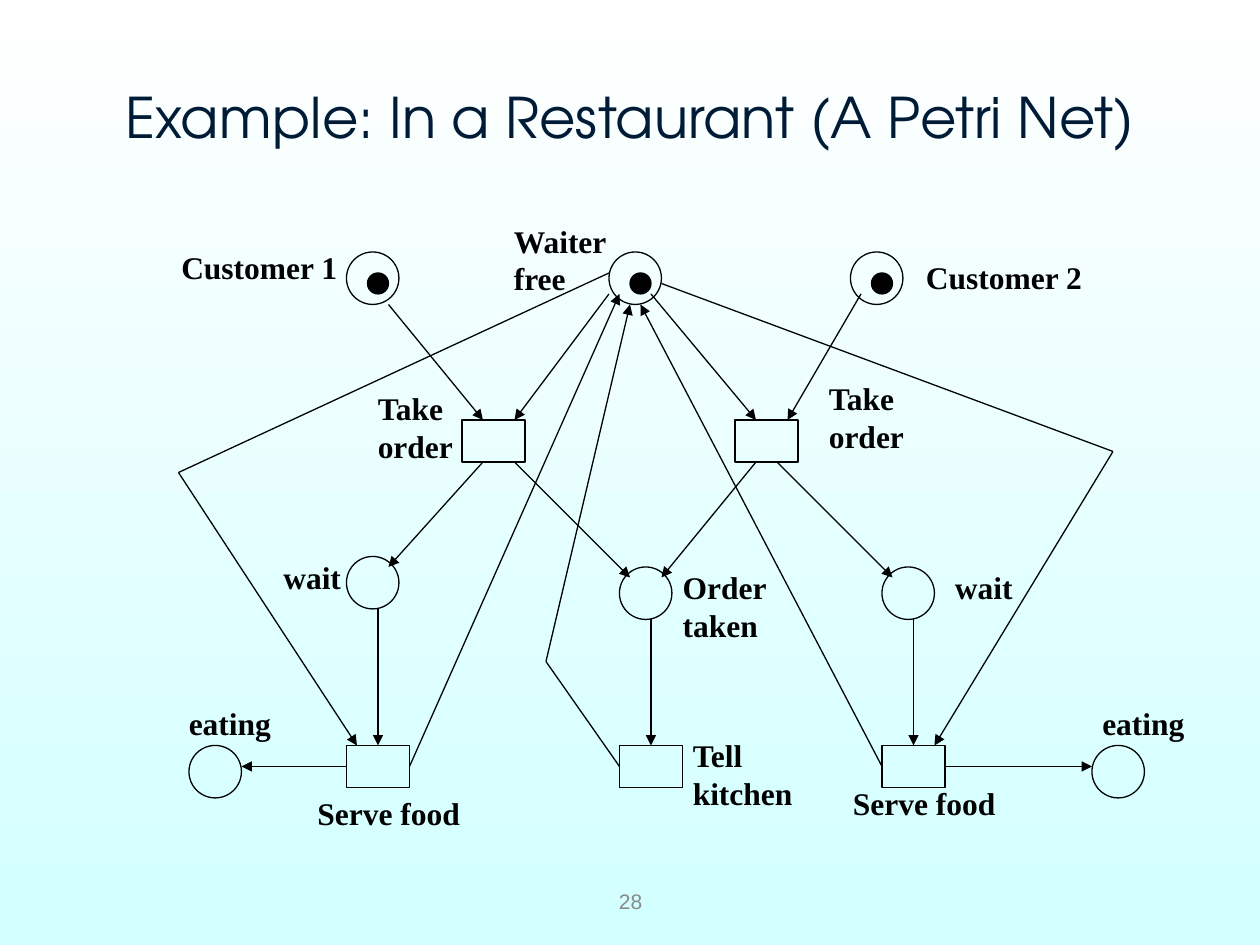
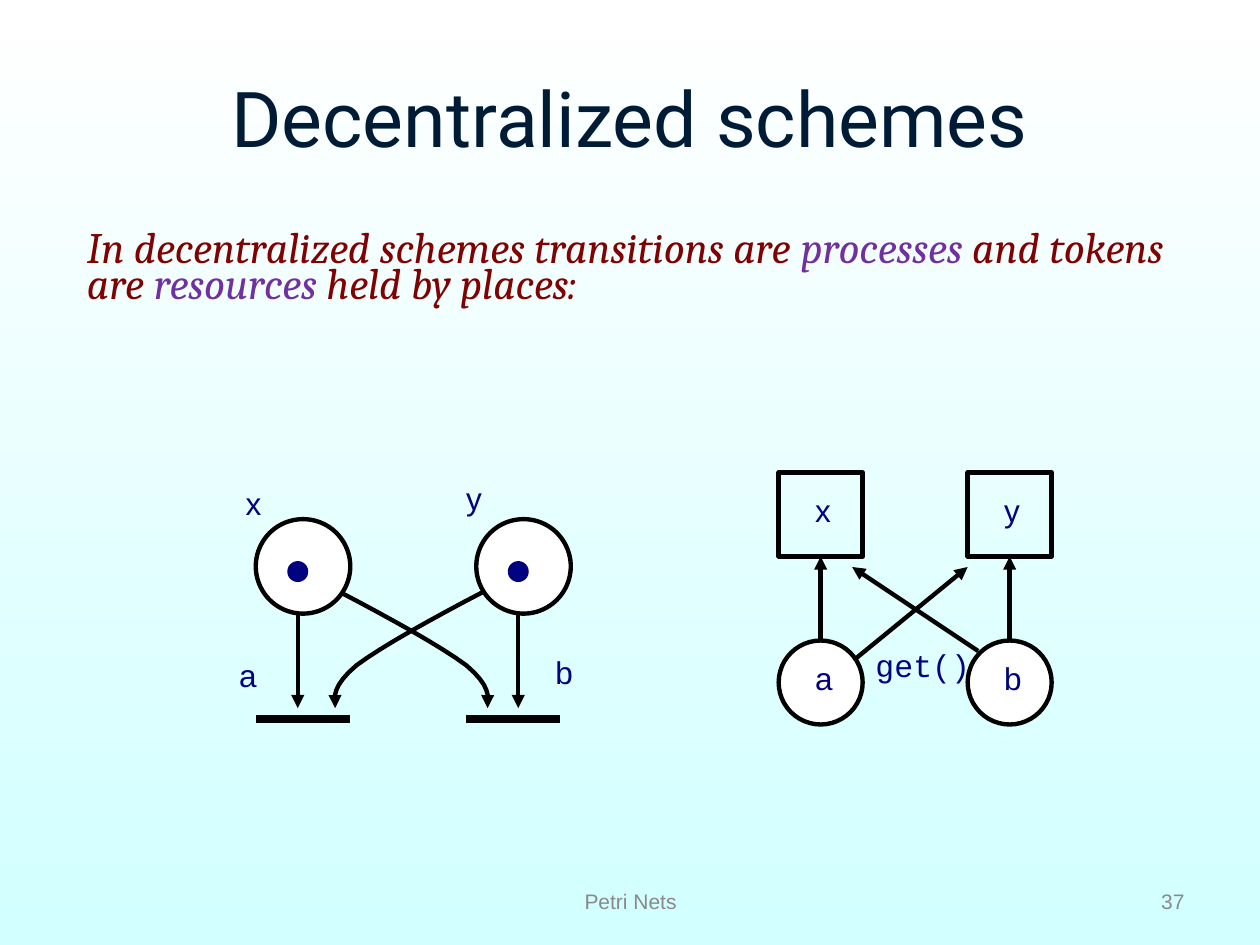
from pptx import Presentation, util as u
from pptx.dml.color import RGBColor
from pptx.enum import shapes, text
from pptx.oxml.ns import qn
from lxml import etree

HUES = {"ink": "000000", "white": "FFFFFF", "aqua": "D2FFFF", "title": "001B36",
        "grey": "898989", "navy": "00027F", "red": "7F0101", "violet": "7030A0"}
STYLES = {
    "net": ({"name": "Times New Roman", "size": u.Pt(18), "bold": True}, "ink"),
    "tag": ({"name": "Arial", "size": u.Pt(18)}, "navy"),
    "code": ({"name": "Courier New", "size": u.Pt(18)}, "navy"),
    "foot": ({"name": "Arial", "size": u.Pt(12)}, "grey"),
    "wide": ({"name": "TeX Gyre Adventor", "size": u.Pt(32)}, "title"),
    "plain": ({"name": "Roboto", "size": u.Pt(44)}, "title"),
    "body": ({"name": "Cambria", "size": u.Pt(24.8), "italic": True}, "red"),
    "key": ({"name": "Cambria", "size": u.Pt(24.8), "italic": True}, "violet"),
}
UNIT = 1 / 12
SLACK = 0.15
OVAL, RECT = shapes.MSO_SHAPE.OVAL, shapes.MSO_SHAPE.RECTANGLE
LEFT, MID, RIGHT = text.PP_ALIGN.LEFT, text.PP_ALIGN.CENTER, text.PP_ALIGN.RIGHT

MARKED = [(33, 24), (58, 24), (81, 24)]
PLACES = MARKED + [(33, 53), (59, 54), (84, 54), (104, 71), (18, 71)]
STEPS = [(44, 40), (70, 40), (84, 71), (59, 71), (33, 71)]
FLOWS = [
    [(37, 29), (46, 40)], [(58, 28), (49, 40)],
    [(62, 28), (72, 40)], [(82, 28), (75, 40)],
    [(46, 44), (37, 54)], [(49, 44), (60, 55)],
    [(72, 44), (63, 55)], [(74, 44), (85, 55)],
    [(87, 59), (87, 71)], [(62, 59), (62, 71)], [(36, 58), (36, 71)],
    [(90, 73), (104, 73)], [(33, 73), (23, 73)],
    [(39, 73), (59, 28)], [(84, 73), (61, 29)],
    [(59, 73), (52, 63), (60, 29)],
    [(63, 27), (106, 43), (89, 71)],
    [(58, 26), (17, 45), (34, 71)],
]
NAMES = [
    ("Waiter\nfree", 3.98, 1.71, 0.95), ("Customer 1", 1.34, 1.92, 1.44),
    ("Customer 2", 7.25, 2, 1.44), ("Take\norder", 2.9, 3.04, 0.79),
    ("Take\norder", 6.48, 2.96, 0.79), ("Order\ntaken", 5.32, 4.46, 0.86),
    ("Tell\nkitchen", 5.4, 5.79, 0.99), ("wait", 2.15, 4.38, 0.66),
    ("wait", 7.48, 4.46, 0.66), ("Serve food", 2.42, 6.25, 1.33),
    ("Serve food", 6.67, 6.17, 1.33), ("eating", 1.4, 5.54, 0.85),
    ("eating", 8.65, 5.54, 0.85),
]

LEAD = [("In decentralized schemes transitions are ", "body"), ("processes", "key"),
        (" and tokens are ", "body"), ("resources", "key"),
        (" held by places:", "body")]
NET, CALLS = (2.03, 4.12), (6.18, 3.75)
BARS = [[(0, 19), (9, 19)], [(20, 19), (29, 19)]]
DROPS = [[(4, 9), (4, 18)], [(25, 9), (25, 18)]]
GETS = [[(7, 18), (18, 9)], [(4, 16), (4, 8)],
        [(22, 16), (22, 8)], [(19, 17), (7, 9)]]
BENDS = [[(2.7, 4.7), (3.1, 4.91), (3.5, 5.13), (3.7, 5.28)],
         [(3.7, 5.28), (3.89, 5.44), (3.88, 5.53), (3.87, 5.62)]]
MIRROR = 6.53
TAGS = [("x", 1.85, 3.79, "tag"), ("y", 3.6, 3.75, "tag"),
        ("a", 1.8, 5.16, "tag"), ("b", 4.31, 5.13, "tag"),
        ("x", 6.37, 3.85, "tag"), ("y", 7.87, 3.85, "tag"),
        ("a", 6.37, 5.18, "tag"), ("b", 7.87, 5.18, "tag"),
        ("get()", 6.85, 5.08, "code")]


def hue(name):
    return RGBColor.from_string(HUES[name])


def style(run, name):
    form, tone = STYLES[name]
    for key, val in form.items():
        setattr(run.font, key, val)
    run.font.color.rgb = hue(tone)


def write(par, words, name, align=LEFT):
    par.alignment = align
    run = par.add_run()
    run.text = words
    style(run, name)


def label(slide, words, x, y, w, name, h=0.4, align=LEFT):
    box = slide.shapes.add_textbox(*map(u.Inches, (x, y, w, h)))
    frame = box.text_frame
    frame.word_wrap = True
    for i, line in enumerate(words.split("\n")):
        par = frame.add_paragraph() if i else frame.paragraphs[0]
        write(par, line, name, align)
    return frame


def place(at, spot):
    return [u.Inches(o + n * UNIT) for o, n in zip(at, spot)]


def node(slide, kind, spot, size, fill=None, line=0.75, at=(0, 0)):
    w, h = (u.Inches(n * UNIT) for n in size)
    shape = slide.shapes.add_shape(kind, *place(at, spot), w, h)
    shape.shadow.inherit = False
    if fill:
        shape.fill.solid()
        shape.fill.fore_color.rgb = hue(fill)
    else:
        shape.fill.background()
    if line:
        shape.line.color.rgb = hue("ink")
        shape.line.width = u.Pt(line)
    else:
        shape.line.fill.background()


def stroke(shape, width, head):
    shape.line.color.rgb = hue("ink")
    shape.line.width = u.Pt(width)
    if head:
        etree.SubElement(shape.line._get_or_add_ln(), qn("a:tailEnd"), type="triangle")


def trail(slide, spots, width=0.75, head=True, at=(0, 0)):
    pairs = list(zip(spots, spots[1:]))
    for i, (a, b) in enumerate(pairs, 1):
        line = slide.shapes.add_connector(
            shapes.MSO_CONNECTOR.STRAIGHT, *place(at, a), *place(at, b))
        stroke(line, width, head and i == len(pairs))
        etree.SubElement(line._element.spPr, qn("a:effectLst"))


def curve(slide, bends, steps=8):
    dots = [bends[0][0]]
    for bend in bends:
        for i in range(1, steps + 1):
            t = i / steps
            mix = ((1 - t) ** 3, 3 * t * (1 - t) ** 2, 3 * t * t * (1 - t), t ** 3)
            dots.append(tuple(sum(m * p[k] for m, p in zip(mix, bend)) for k in (0, 1)))
    dots = [tuple(map(u.Inches, dot)) for dot in dots]
    pen = slide.shapes.build_freeform(*dots[0])
    pen.add_line_segments(dots[1:], close=False)
    shape = pen.convert_to_shape()
    shape.shadow.inherit = False
    shape.fill.background()
    stroke(shape, 2.5, True)


def move(shape, *box):
    for key, val in zip(("left", "top", "width", "height"), box):
        setattr(shape, key, u.Inches(val))


def start(deck, layout, title, name, feet):
    slide = deck.slides.add_slide(deck.slide_layouts[layout])
    move(slide.shapes.title, 0.5, 0.3, 9, 1.25)
    write(slide.shapes.title.text_frame.paragraphs[0], title, name, MID)
    for words, x, w, align in feet:
        frame = label(slide, words, x, 6.95, w, "foot", align=align)
        frame.vertical_anchor = text.MSO_ANCHOR.MIDDLE
    return slide


def diner(deck):
    slide = start(deck, 5, "Example: In a Restaurant (A Petri Net)", "wide",
                  [("28", 3.42, 3.17, MID)])
    for spot in PLACES:
        node(slide, OVAL, spot, (5, 5))
    for spot in STEPS:
        node(slide, RECT, spot, (6, 4))
    for spots in FLOWS:
        trail(slide, spots)
    for words, x, y, w in NAMES:
        label(slide, words, x, y, w + SLACK, "net", 0.7 if "\n" in words else 0.4)
    for x, y in MARKED:
        node(slide, OVAL, (x + 2, y + 2), (2, 2), "ink")


def schemes(deck):
    slide = start(deck, 1, "Decentralized schemes", "plain",
                  [("Petri Nets", 3.42, 3.17, MID), ("37", 7.17, 2.33, RIGHT)])
    body = slide.placeholders[1]
    move(body, 0.59, 1.81, 8.82, 0.71)
    body.text_frame.auto_size = text.MSO_AUTO_SIZE.NONE
    par = body.text_frame.paragraphs[0]
    form = par._p.get_or_add_pPr()
    form.set("marL", "0")
    form.set("indent", "0")
    etree.SubElement(form, qn("a:buNone"))
    par.line_spacing, par.space_before = 0.7, u.Pt(0)
    for words, name in LEAD:
        write(par, words, name)

    for spots in BARS:
        trail(slide, spots, 4.5, False, NET)
    for spots in DROPS:
        trail(slide, spots, 2.5, at=NET)
    curve(slide, BENDS)
    curve(slide, [[(MIRROR - x, y) for x, y in bend] for bend in BENDS])
    for x in (0, 21):
        node(slide, OVAL, (x, 0), (9, 9), "white", 2.5, NET)
        node(slide, OVAL, (x + 3, 4), (2, 2), "navy", 0, NET)

    for spots in GETS:
        trail(slide, spots, 2.5, at=CALLS)
    for x in (0, 18):
        node(slide, RECT, (x, 0), (8, 8), None, 2.5, CALLS)
        node(slide, OVAL, (x, 16), (8, 8), "white", 2.5, CALLS)
    for words, x, y, name in TAGS:
        label(slide, words, x, y, SLACK + (0.95 if name == "code" else 0.33), name)


def main():
    deck = Presentation()
    deck.slide_width, deck.slide_height = u.Inches(10), u.Inches(7.5)
    fill = deck.slide_master.background.fill
    fill.gradient()
    fill.gradient_angle = 270
    for stop, pos, name in zip(fill.gradient_stops, (0, 1), ("white", "aqua")):
        stop.position = pos
        stop.color.rgb = hue(name)
    diner(deck)
    schemes(deck)
    deck.save("out.pptx")


if __name__ == "__main__":
    main()
